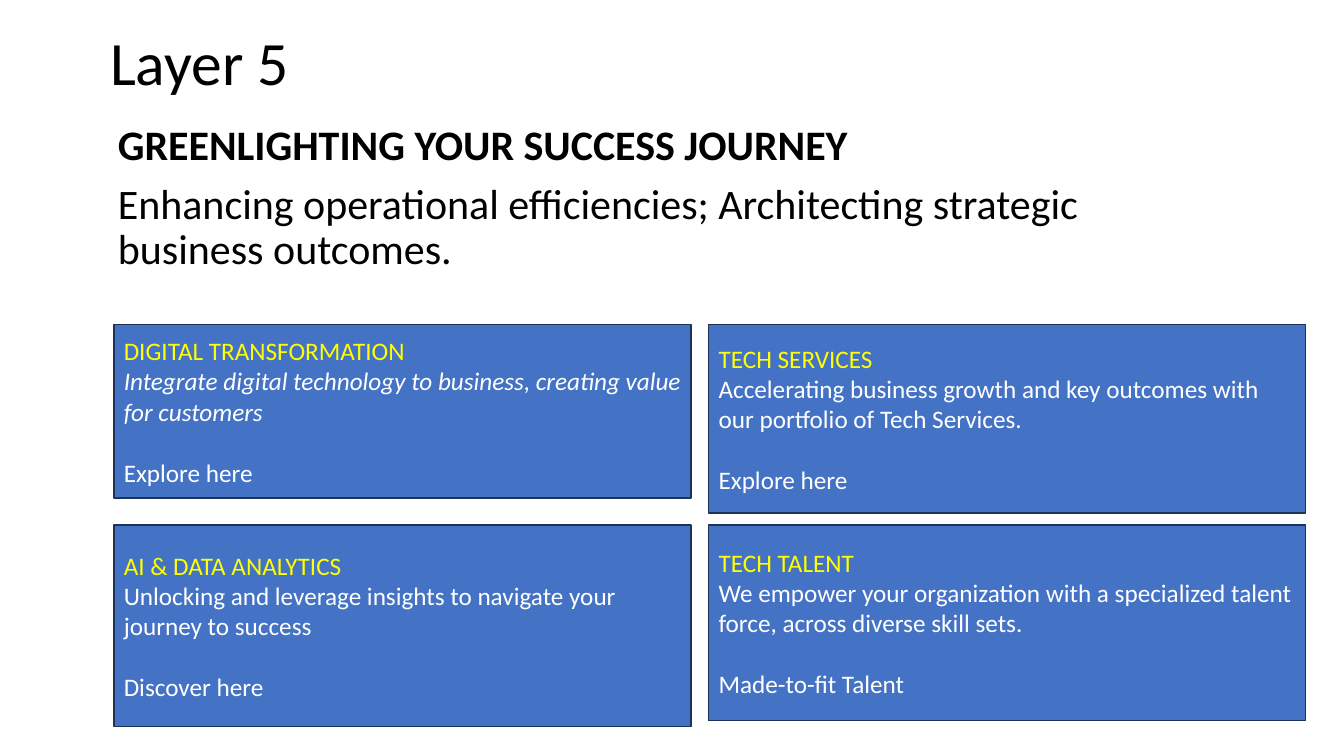
import pptx
import pptx.dml.color
import pptx.enum.shapes
import pptx.enum.text
import pptx.util

RGBColor = pptx.dml.color.RGBColor
Cm = pptx.util.Cm
Pt = pptx.util.Pt
ANCHOR = pptx.enum.text.MSO_ANCHOR

BLACK = RGBColor(0x00, 0x00, 0x00)
WHITE = RGBColor(0xFF, 0xFF, 0xFF)
YELLOW = RGBColor(0xFF, 0xFF, 0x00)
BLUE = RGBColor(0x44, 0x72, 0xC4)
NAVY = RGBColor(0x1E, 0x32, 0x56)

# Column: left, width; row: top
COLUMNS = [(2.87, 14.55), (17.86, 15.04)]
ROWS = [8.18, 13.23]

# Column, row, height, heading, description, call to action, italic description
CARDS = [
    (0, 0, 4.37, "DIGITAL TRANSFORMATION",
     "Integrate digital technology to business, creating value for customers",
     "Explore here", True),
    (0, 1, 5.08, "AI & DATA ANALYTICS",
     "Unlocking and leverage insights to navigate your journey to success",
     "Discover here", False),
    (1, 0, 4.75, "TECH SERVICES",
     "Accelerating business growth and key outcomes with our portfolio of Tech Services.",
     "Explore here", False),
    (1, 1, 4.93, "TECH TALENT",
     "We empower your organization with a specialized talent force, across diverse skill sets.",
     "Made-to-fit Talent", False),
]


class SlideBuilder:
    """Holds the text style and the current slide."""

    def __init__(self, slide, font_name):
        self.slide = slide
        self.font_name = font_name

    def fill_text(self, frame, lines, anchor, line_spacing=1.0):
        """Fill a frame with (text, font format, space before) lines."""
        frame.word_wrap = True
        frame.auto_size = pptx.enum.text.MSO_AUTO_SIZE.NONE
        frame.vertical_anchor = anchor
        for index, (text, font_format, space_before) in enumerate(lines):
            paragraph = frame.paragraphs[0] if index == 0 else frame.add_paragraph()
            paragraph.text = text
            values = {"alignment": pptx.enum.text.PP_ALIGN.LEFT,
                      "line_spacing": line_spacing,
                      "space_before": Pt(space_before)}
            for name, value in values.items():
                setattr(paragraph, name, value)
            font = paragraph.runs[0].font
            font.name = self.font_name
            for name, value in font_format.items():
                if name == "color":
                    font.color.rgb = value
                else:
                    setattr(font, name, value)

    def title(self, text, left, top, width, height):
        shape = self.slide.shapes.title
        place = {"left": left, "top": top, "width": width, "height": height}
        for name, value in place.items():
            setattr(shape, name, Cm(value))
        self.fill_text(shape.text_frame, [(text, {"size": Pt(44), "color": BLACK}, 0)],
                       ANCHOR.MIDDLE, 0.9)

    def introduction(self, heading, text, left, top, width, height):
        shape = self.slide.shapes.add_textbox(Cm(left), Cm(top), Cm(width), Cm(height))
        shape.text_frame.margin_right = Cm(3)
        style = {"size": Pt(30), "color": BLACK}
        self.fill_text(shape.text_frame,
                       [(heading, {**style, "bold": True}, 0), (text, style, 10)],
                       ANCHOR.TOP, 0.9)

    def card(self, column, row, height, heading, description, action, italic):
        left, width = COLUMNS[column]
        shape = self.slide.shapes.add_shape(
            pptx.enum.shapes.MSO_SHAPE.RECTANGLE,
            Cm(left), Cm(ROWS[row]), Cm(width), Cm(height))
        shape.shadow.inherit = False
        shape.fill.solid()
        shape.fill.fore_color.rgb = BLUE
        shape.line.color.rgb = NAVY
        shape.line.width = Pt(1)
        style = {"size": Pt(18), "color": WHITE}
        self.fill_text(shape.text_frame,
                       [(heading, {**style, "color": YELLOW}, 0),
                        (description, {**style, "italic": italic}, 0),
                        (action, style, 22)],
                       ANCHOR.MIDDLE)


def main():
    presentation = pptx.Presentation()
    presentation.slide_width = Cm(33.87)
    presentation.slide_height = Cm(19.05)
    slide = presentation.slides.add_slide(presentation.slide_layouts[5])
    builder = SlideBuilder(slide, "Calibri")

    # Title and introduction
    builder.title("Layer 5", 2.52, -0.2, 29.21, 3.68)
    builder.introduction(
        "GREENLIGHTING YOUR SUCCESS JOURNEY",
        "Enhancing operational efficiencies; Architecting strategic business outcomes.",
        2.72, 3, 30.15, 4.93)

    # Service cards
    for card in CARDS:
        builder.card(*card)

    presentation.save("out.pptx")


if __name__ == "__main__":
    main()
